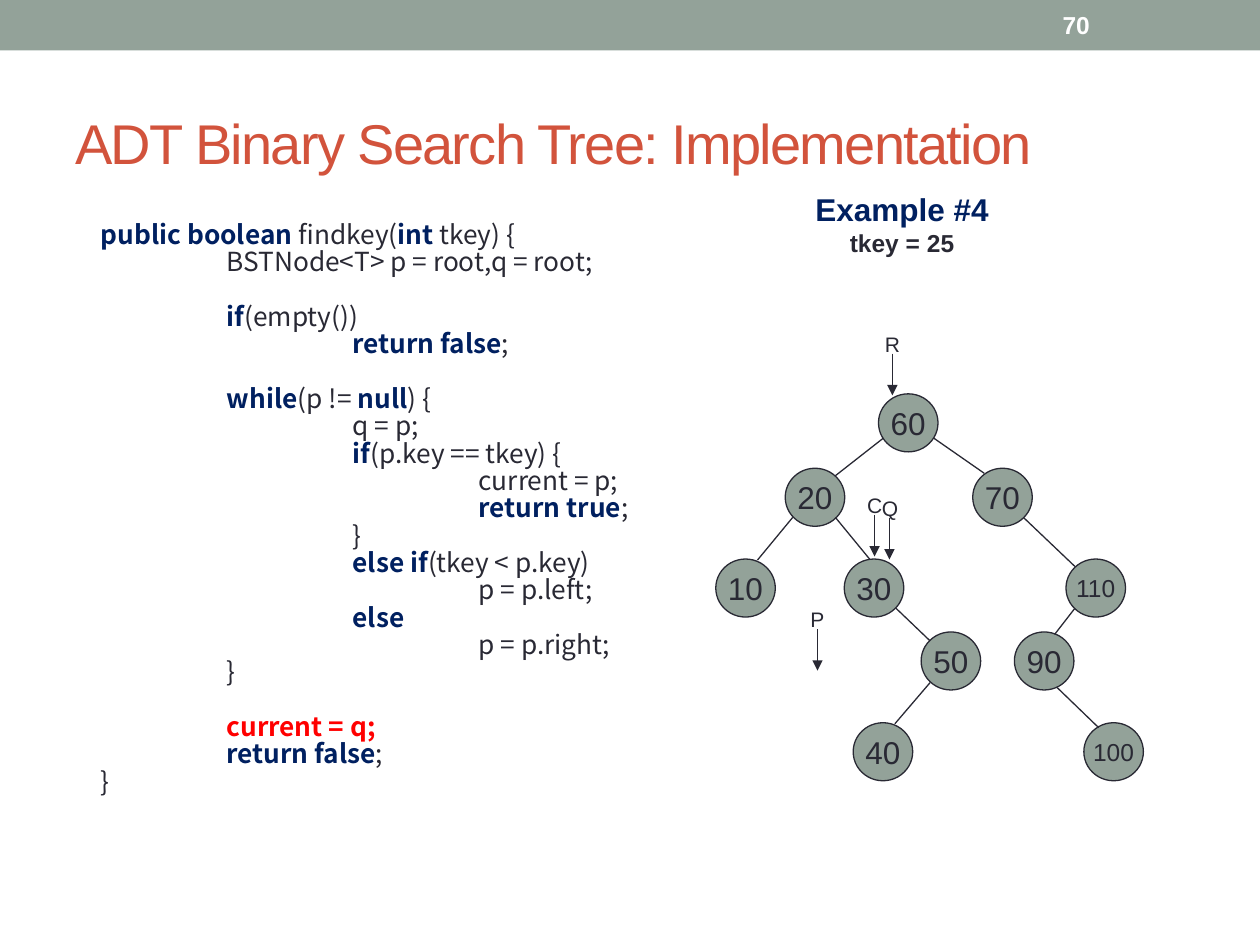
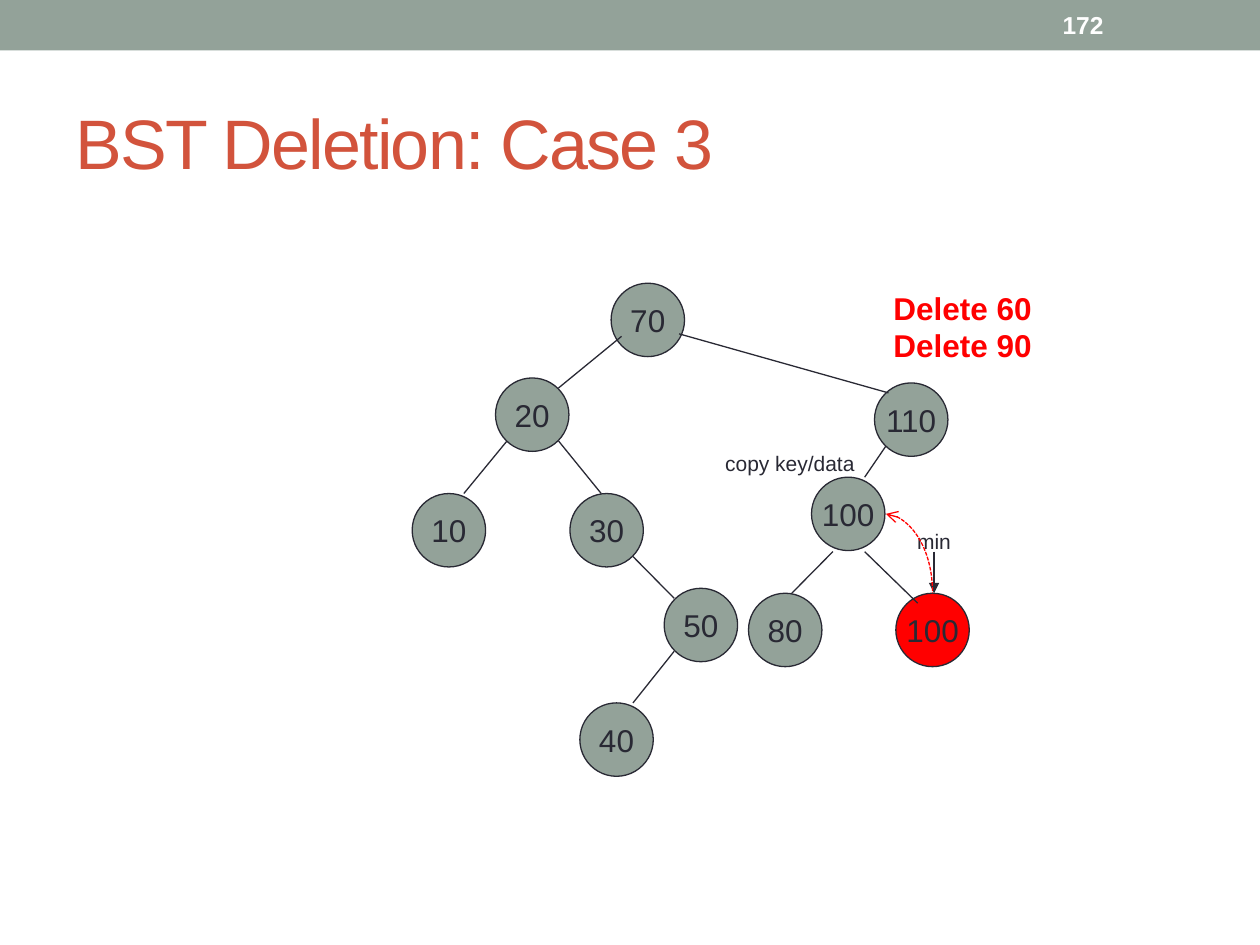
from lxml import etree
from pptx import Presentation
from pptx.dml.color import RGBColor
from pptx.enum.dml import MSO_LINE
from pptx.enum.shapes import MSO_CONNECTOR as CONNECTOR, MSO_SHAPE as SHAPE
from pptx.enum.text import MSO_ANCHOR as ANCHOR, PP_ALIGN as ALIGN
from pptx.oxml.ns import qn
from pptx.util import Cm, Pt

SAGE, INK, NAVY = "93A299", "292934", "002060"
RUST, RED, WHITE = "D2533C", "FF0000", "FFFFFF"
BODY_FONT, CODE_FONT = "Arial", "Noto Sans CJK SC"

FIND_KEY = [
    (0, "*public boolean *findkey(*int *tkey) {"),
    (1, "BSTNode<T> p = root,q = root;"),
    (1, "\n*if*(empty())"),
    (2, "*return false*;"),
    (1, "\n*while*(p != *null*) {"),
    (2, "q = p;"),
    (2, "*if*(p.key == tkey) {"),
    (3, "current = p;"),
    (3, "*return true*;"),
    (2, "}"),
    (2, "*else if*(tkey < p.key)"),
    (3, "p = p.left;"),
    (2, "*else*"),
    (3, "p = p.right;"),
    (1, "}"),
    (1, "\n*current = q;*"),
    (1, "*return false*;"),
    (0, "}"),
]

SEARCH_NODES = [
    ("60", 3.28, 0), ("20", 1.4, 1.5), ("70", 5.18, 1.5),
    ("10", 0, 3.33), ("30", 2.59, 3.33), ("110", 7.06, 3.33),
    ("50", 4.14, 4.8), ("90", 6.02, 4.8),
    ("40", 2.77, 6.63), ("100", 7.42, 6.63),
]
SEARCH_EDGES = [
    (3.38, 0.89, 2.41, 1.65), (4.39, 0.89, 5.41, 1.6),
    (1.55, 2.49, 0.84, 3.35), (2.41, 2.49, 3.1, 3.33),
    (6.2, 2.49, 7.24, 3.48), (7.24, 4.32, 6.83, 4.85),
    (3.63, 4.32, 4.32, 4.98), (4.32, 5.82, 3.61, 6.65),
    (6.88, 5.92, 7.72, 6.73),
]
SEARCH_MARKERS = [
    ("R", 3.56, -0.81), ("C", 3.2, 2.44), ("Q", 3.5, 2.5), ("P", 2.05, 4.74),
]

DELETION_NODES = [
    ("70", 4.01, 0), ("20", 1.68, 1.91), ("110", 9.32, 2.01),
    ("10", 0, 4.24), ("30", 3.18, 4.24), ("100", 8.05, 3.91),
    ("50", 5.08, 6.15), ("80", 6.78, 6.25),
    ("100", 9.75, 6.25, RED), ("40", 3.38, 8.46),
]
DELETION_EDGES = [
    (4.22, 1.07, 2.95, 2.11), (5.38, 1.02, 9.6, 2.21),
    (1.91, 3.18, 1.04, 4.24), (2.95, 3.18, 3.81, 4.24),
    (9.55, 3.28, 9.12, 3.91), (4.45, 5.51, 5.28, 6.35),
    (5.28, 7.42, 4.45, 8.46), (9.12, 5.41, 10.19, 6.45),
    (8.48, 5.41, 7.65, 6.25),
]


def rgb(value):
    """Turn a hex string into a colour."""
    return RGBColor.from_string(value)


def write(frame, text, size=18, color=INK, font=BODY_FONT, bold=False,
          accent=NAVY, align=ALIGN.LEFT, tracking=0):
    """Add a paragraph to a frame; parts between asterisks are bold in the accent."""
    paragraph = frame.paragraphs[0]
    if paragraph.runs:
        paragraph = frame.add_paragraph()
    paragraph.alignment = align
    for index, part in enumerate(text.split("*")):
        if not part:
            continue
        marked = index % 2 == 1
        run = paragraph.add_run()
        run.text = part
        run.font.name = font
        run.font.size = Pt(size)
        run.font.bold = bold or marked
        run.font.color.rgb = rgb(accent if marked else color)
        if tracking:
            run.font._element.set("spc", str(tracking * 100))
    return paragraph


def add_frame(slide, box, anchor=ANCHOR.TOP, wrap=True):
    """Add an empty text box and return its text frame."""
    frame = slide.shapes.add_textbox(*map(Cm, box)).text_frame
    frame.word_wrap = wrap
    frame.vertical_anchor = anchor
    return frame


def add_shape(slide, kind, box, fill, line=None):
    """Add a flat preset shape."""
    shape = slide.shapes.add_shape(kind, *map(Cm, box))
    shape.shadow.inherit = False
    shape.fill.solid()
    shape.fill.fore_color.rgb = rgb(fill)
    if line:
        shape.line.color.rgb = rgb(line)
        shape.line.width = Pt(0.75)
    else:
        shape.line.fill.background()
    return shape


def add_line(slide, ends, color=INK, kind=CONNECTOR.STRAIGHT, **arrows):
    """Add a thin connector; arrows maps headEnd or tailEnd to an arrow type."""
    connector = slide.shapes.add_connector(kind, *map(Cm, ends))
    connector.line.color.rgb = rgb(color)
    connector.line.width = Pt(0.75)
    line = connector.line._get_or_add_ln()
    for end, arrow in arrows.items():
        etree.SubElement(line, qn("a:" + end)).set("type", arrow)
    etree.SubElement(connector._element.spPr, qn("a:effectLst"))
    return connector


def add_page(presentation, title, title_size, number):
    """Add a blank slide with the band, page number and title."""
    slide = presentation.slides.add_slide(presentation.slide_layouts[6])
    add_shape(slide, SHAPE.RECTANGLE, (0, 0, 25.4, 1.02), SAGE)
    write(add_frame(slide, (1.27, 1.49, 22.86, 2.74), ANCHOR.MIDDLE), title,
          size=title_size, color=RUST, tracking=-1)
    write(add_frame(slide, (21.17, 0.05, 2.97, 0.91), ANCHOR.MIDDLE), number,
          size=14, color=WHITE, bold=True)
    return slide


def add_code(slide, box, lines):
    """Write a listing, one indented paragraph a line; a leading newline leaves a gap."""
    frame = add_frame(slide, box)
    pitch, extra = 15.6, 3
    for depth, text in lines:
        accent = RED if "current = q" in text else NAVY
        paragraph = write(frame, text.strip("\n"), size=15, font=CODE_FONT, accent=accent)
        paragraph.line_spacing = 0.7
        paragraph.space_before = Pt(extra + pitch * text.startswith("\n"))
        properties = paragraph._p.get_or_add_pPr()
        properties.set("marL", str(Cm(0.51 + 2.54 * depth)))
        properties.set("indent", "0")


def add_tree(slide, left, top, node_size, nodes, edges, long_key_size=18):
    """Draw round nodes and their edges from the tree's top left corner."""
    for key, x, y, *fill in nodes:
        node = add_shape(slide, SHAPE.OVAL, (left + x, top + y, *node_size),
                         fill[0] if fill else SAGE, INK)
        frame = node.text_frame
        frame.word_wrap = False
        frame.vertical_anchor = ANCHOR.MIDDLE
        write(frame, key, size=long_key_size if len(key) > 2 else 18, align=ALIGN.CENTER)
    for x1, y1, x2, y2 in edges:
        add_line(slide, (left + x1, top + y1, left + x2, top + y2))


def add_marker(slide, label, x, y, width=0.8):
    """Put a label above a short arrow that starts at x, y and points down."""
    frame = add_frame(slide, (x - width / 2, y - 0.58, width, 0.76), wrap=False)
    write(frame, label, size=12, align=ALIGN.CENTER)
    add_line(slide, (x, y, x, y + 0.84), tailEnd="triangle")


def build_search(presentation):
    """Build the slide that traces a failed search."""
    slide = add_page(presentation, "ADT Binary Search Tree: Implementation", 32, "70")
    add_code(slide, (1.27, 4.45, 13, 13.54), FIND_KEY)
    left, top = 14.43, 7.94
    add_tree(slide, left, top, (1.2, 1.17), SEARCH_NODES, SEARCH_EDGES, long_key_size=14)
    for label, x, y in SEARCH_MARKERS:
        add_marker(slide, label, left + x, top + y)
    heading = add_frame(slide, (16.1, 3.71, 4.17, 1.63))
    write(heading, "Example #4", color=NAVY, bold=True, align=ALIGN.CENTER)
    write(heading, "tkey = 25", size=14, bold=True, align=ALIGN.CENTER)


def build_deletion(presentation):
    """Build the slide that deletes a node with two children."""
    slide = add_page(presentation, "BST Deletion: Case 3", 40, "172")
    left, top = 8.31, 5.71
    add_tree(slide, left, top, (1.48, 1.48), DELETION_NODES, DELETION_EDGES)
    for row, text in enumerate(("Delete 60", "Delete 90")):
        write(add_frame(slide, (left + 9.45, top + 0.73 * row, 3.51, 1.02)), text,
              color=RED, bold=True)
    add_marker(slide, "min", left + 10.52, top + 5.41, width=1.3)
    curve = add_line(slide, (left + 9.55, top + 4.65, left + 10.49, top + 6.25),
                     RED, CONNECTOR.CURVE, headEnd="arrow")
    curve.line.dash_style = MSO_LINE.SQUARE_DOT
    curve._element.spPr.find(qn("a:prstGeom")).set("prst", "curvedConnector2")
    write(add_frame(slide, (left + 5.89, top + 3.24, 3.45, 0.76)), "copy key/data",
          size=12, align=ALIGN.CENTER)


def main():
    """Build and save the presentation."""
    presentation = Presentation()
    presentation.slide_width, presentation.slide_height = Cm(25.4), Cm(19.05)
    build_search(presentation)
    build_deletion(presentation)
    presentation.save("out.pptx")


main()
